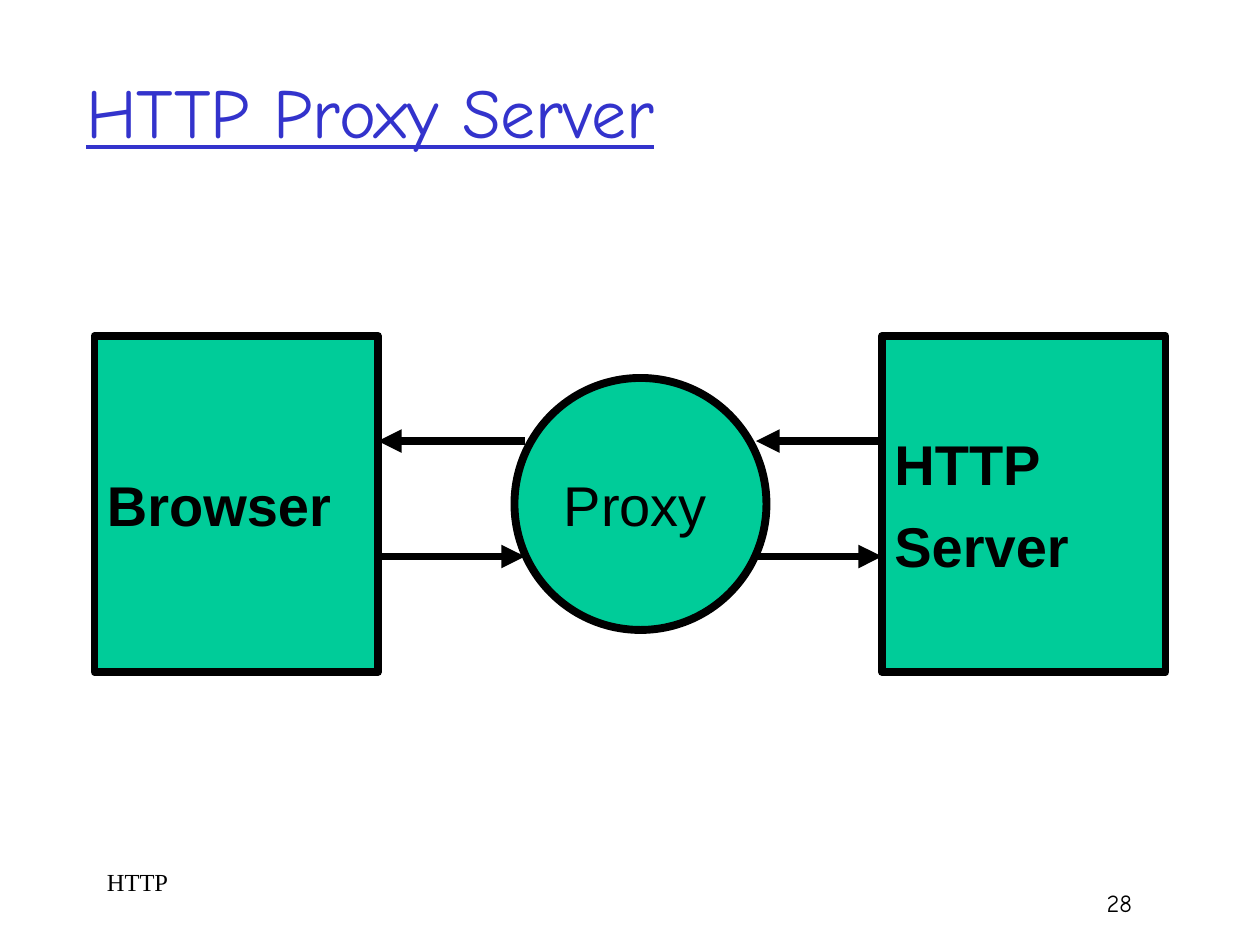
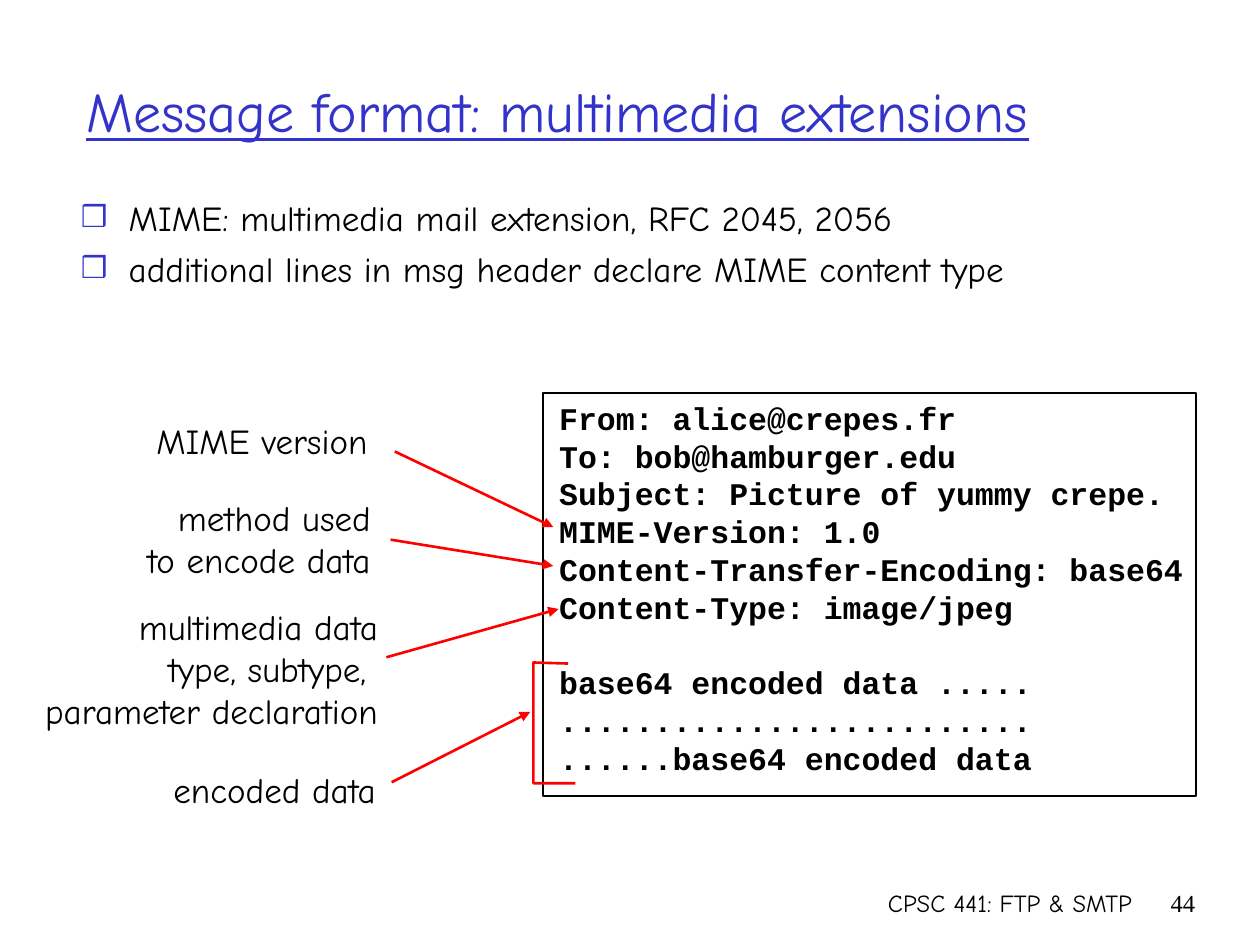
from dataclasses import dataclass

from lxml import etree
from pptx import Presentation
from pptx.dml.color import RGBColor
from pptx.enum.shapes import MSO_CONNECTOR, MSO_SHAPE
from pptx.enum.text import MSO_ANCHOR, MSO_AUTO_SIZE, PP_ALIGN
from pptx.oxml.ns import qn
from pptx.util import Inches, Pt

RECTANGLE, OVAL = MSO_SHAPE.RECTANGLE, MSO_SHAPE.OVAL
STRAIGHT = MSO_CONNECTOR.STRAIGHT
TOP, MIDDLE = MSO_ANCHOR.TOP, MSO_ANCHOR.MIDDLE
LEFT, RIGHT = PP_ALIGN.LEFT, PP_ALIGN.RIGHT
NO_AUTOFIT = MSO_AUTO_SIZE.NONE

# The slide is a grid of 120 columns and 90 rows.
SLIDE_WIDTH, SLIDE_HEIGHT = Inches(10), Inches(7.5)
COLUMN, ROW = SLIDE_WIDTH / 120, SLIDE_HEIGHT / 90
TITLE_ONLY, TITLE_AND_CONTENT = 5, 1


@dataclass(frozen=True)
class Theme:
    ink: str = "000000"
    accent: str = "3333CC"
    node_fill: str = "00CC99"
    callout: str = "FF0000"
    hand: str = "Comic Neue"
    sans: str = "Arial"
    serif: str = "Times New Roman"
    mono: str = "Courier New"
    title_size: float = 40
    long_title_size: float = 32
    node_size: float = 32
    body_size: float = 20
    message_size: float = 18
    message_leading: float = 21.6
    footer_size: float = 14
    heavy_line: float = 4.5
    callout_line: float = 1.5
    thin_line: float = 1


THEME = Theme()


@dataclass(frozen=True)
class Box:
    """A region of the grid; its contents are placed relative to its corner."""
    column: float
    row: float
    columns: float
    rows: float

    def inner(self, column, row, columns, rows):
        return Box(self.column + column, self.row + row, columns, rows)

    def point(self, column, row):
        return round((self.column + column) * COLUMN), round((self.row + row) * ROW)

    def frame(self):
        return (*self.point(0, 0), round(self.columns * COLUMN), round(self.rows * ROW))


def color(value):
    return RGBColor.from_string(value)


def write(shape, text, font, size, ink=THEME.ink, bold=False, underline=False,
          align=LEFT, anchor=TOP, space_before=0):
    """Fill a shape with text, one paragraph a line."""
    frame = shape.text_frame
    frame.text = text
    frame.word_wrap = True
    frame.auto_size = NO_AUTOFIT
    frame.vertical_anchor = anchor
    for paragraph in frame.paragraphs:
        paragraph.alignment = align
        paragraph.space_before = Pt(space_before)
        for run in paragraph.runs:
            run.font.name = font
            run.font.size = Pt(size)
            run.font.bold = bold
            run.font.underline = underline
            run.font.color.rgb = color(ink)
    return frame


def stroke(shape, ink, width):
    shape.line.color.rgb = color(ink)
    shape.line.width = Pt(width)


def add_text(slide, box, text, font, size, **style):
    return write(slide.shapes.add_textbox(*box.frame()), text, font, size, **style)


def add_arrow(slide, start, end, ink, width):
    arrow = slide.shapes.add_connector(STRAIGHT, *start, *end)
    stroke(arrow, ink, width)
    properties = arrow._element.spPr
    etree.SubElement(properties.find(qn("a:ln")), qn("a:tailEnd"), type="triangle")
    etree.SubElement(properties, qn("a:effectLst"))


def place(placeholder, box):
    placeholder.left, placeholder.top, placeholder.width, placeholder.height = box.frame()


def add_slide(presentation, layout, title, title_columns, title_size):
    slide = presentation.slides.add_slide(presentation.slide_layouts[layout])
    place(slide.shapes.title, Box(7, 3, title_columns, 15))
    write(slide.shapes.title, title, THEME.hand, title_size, THEME.accent,
          underline=True, anchor=MIDDLE)
    return slide


def add_footer(slide, text):
    add_text(slide, Box(71, 84, 38, 6), text, THEME.hand, THEME.footer_size, align=RIGHT)


def add_node(slide, box, kind, text, bold=True):
    node = slide.shapes.add_shape(kind, *box.frame())
    node.shadow.inherit = False
    node.fill.solid()
    node.fill.fore_color.rgb = color(THEME.node_fill)
    stroke(node, THEME.ink, THEME.heavy_line)
    write(node, text, THEME.sans, THEME.node_size, bold=bold, anchor=MIDDLE, space_before=8)


def proxy_diagram(slide, box):
    side = 27
    server_column = box.columns - side
    add_node(slide, box.inner(server_column, 0, side, box.rows), RECTANGLE, "HTTP\nServer")
    add_node(slide, box.inner(0, 0, side, box.rows), RECTANGLE, "Browser")
    add_node(slide, box.inner(40, 4, 24, 24), OVAL, "Proxy", bold=False)
    reply_row, request_row = 10, 21
    for near, far in ((side, 41), (63, server_column)):
        for row, start, end in ((request_row, near, far), (reply_row, far, near)):
            add_arrow(slide, box.point(start, row), box.point(end, row),
                      THEME.ink, THEME.heavy_line)


def bullet_list(slide, box, items):
    body = slide.placeholders[1]
    place(body, box)
    frame = write(body, "\n".join(items), THEME.hand, THEME.body_size, space_before=5)
    indent = Inches(0.38)
    for paragraph in frame.paragraphs:
        properties = paragraph._p.get_or_add_pPr()
        properties.set("marL", str(indent))
        properties.set("indent", str(-indent))
        bullet_color = etree.SubElement(properties, qn("a:buClr"))
        etree.SubElement(bullet_color, qn("a:srgbClr"), val=THEME.accent)
        etree.SubElement(properties, qn("a:buSzPct"), val="85000")
        etree.SubElement(properties, qn("a:buChar"), char="❒")


def mail_message(slide, box, header, content):
    panel = slide.shapes.add_shape(RECTANGLE, *box.frame())
    panel.shadow.inherit = False
    panel.fill.background()
    stroke(panel, THEME.ink, THEME.thin_line)
    frame = write(panel, "\n".join(header + content), THEME.mono, THEME.message_size, bold=True)
    frame.word_wrap = False
    frame.margin_left = Inches(0.13)
    for paragraph in frame.paragraphs:
        paragraph.line_spacing = Pt(THEME.message_leading)
    frame.paragraphs[len(header)].space_before = Pt(THEME.message_leading)


def message_callouts(slide, box):
    # text, right edge, top row, arrow start, arrow end
    callouts = (
        ("MIME version", 36.2, 2, (37.6, 5.6), (52.7, 12.8)),
        ("method used\nto encode data", 36.5, 9.3, (37.2, 14), (52.7, 16.5)),
        ("multimedia data\ntype, subtype, \nparameter declaration", 37.2, 19.7,
         (36.8, 25.2), (53.2, 20.6)),
        ("encoded data", 37, 35.2, (37.3, 37.1), (50.5, 30.4)),
    )
    for text, right, top, start, end in callouts:
        rows = 1.2 + 4 * len(text.splitlines())
        add_text(slide, box.inner(0, top, right, rows), text,
                 THEME.hand, THEME.body_size, align=RIGHT)
        add_arrow(slide, box.point(*start), box.point(*end),
                  THEME.callout, THEME.callout_line)
    data_bracket(slide, box.inner(50.8, 25.7, 4, 11.5))


def data_bracket(slide, box):
    builder = slide.shapes.build_freeform(*box.point(3.3, 0.1))
    corners = ((0, 0), (0, box.rows), (box.columns, box.rows))
    builder.add_line_segments([box.point(*corner) for corner in corners], close=False)
    bracket = builder.convert_to_shape()
    bracket.shadow.inherit = False
    bracket.fill.background()
    stroke(bracket, THEME.callout, THEME.callout_line)


def proxy_slide(presentation):
    slide = add_slide(presentation, TITLE_ONLY, "HTTP Proxy Server", 102, THEME.title_size)
    proxy_diagram(slide, Box(9, 32, 102, 32))
    add_text(slide, Box(9, 82, 25, 6), "HTTP", THEME.serif, THEME.footer_size)
    add_footer(slide, "28")


def message_slide(presentation):
    slide = add_slide(presentation, TITLE_AND_CONTENT,
                      "Message format: multimedia extensions", 110, THEME.long_title_size)
    bullet_list(slide, Box(6.5, 18.1, 96.1, 61), (
        "MIME: multimedia mail extension, RFC 2045, 2056",
        "additional lines in msg header declare MIME content type",
    ))
    header = [
        "From: alice@crepes.fr",
        "To: bob@hamburger.edu",
        "Subject: Picture of yummy crepe.",
        "MIME-Version: 1.0",
        "Content-Transfer-Encoding: base64",
        "Content-Type: image/jpeg",
    ]
    content = [
        "base64 encoded data .....",
        ".........................",
        "......base64 encoded data",
    ]
    mail_message(slide, Box(51.7, 37.4, 62.2, 38.4), header, content)
    message_callouts(slide, Box(0, 37.4, 55, 43))
    add_footer(slide, "CPSC 441: FTP & SMTP")
    add_text(slide, Box(109, 84, 6, 6), "44", THEME.serif, THEME.footer_size, align=RIGHT)


def main():
    presentation = Presentation()
    presentation.slide_width, presentation.slide_height = SLIDE_WIDTH, SLIDE_HEIGHT
    proxy_slide(presentation)
    message_slide(presentation)
    presentation.save("out.pptx")


if __name__ == "__main__":
    main()
